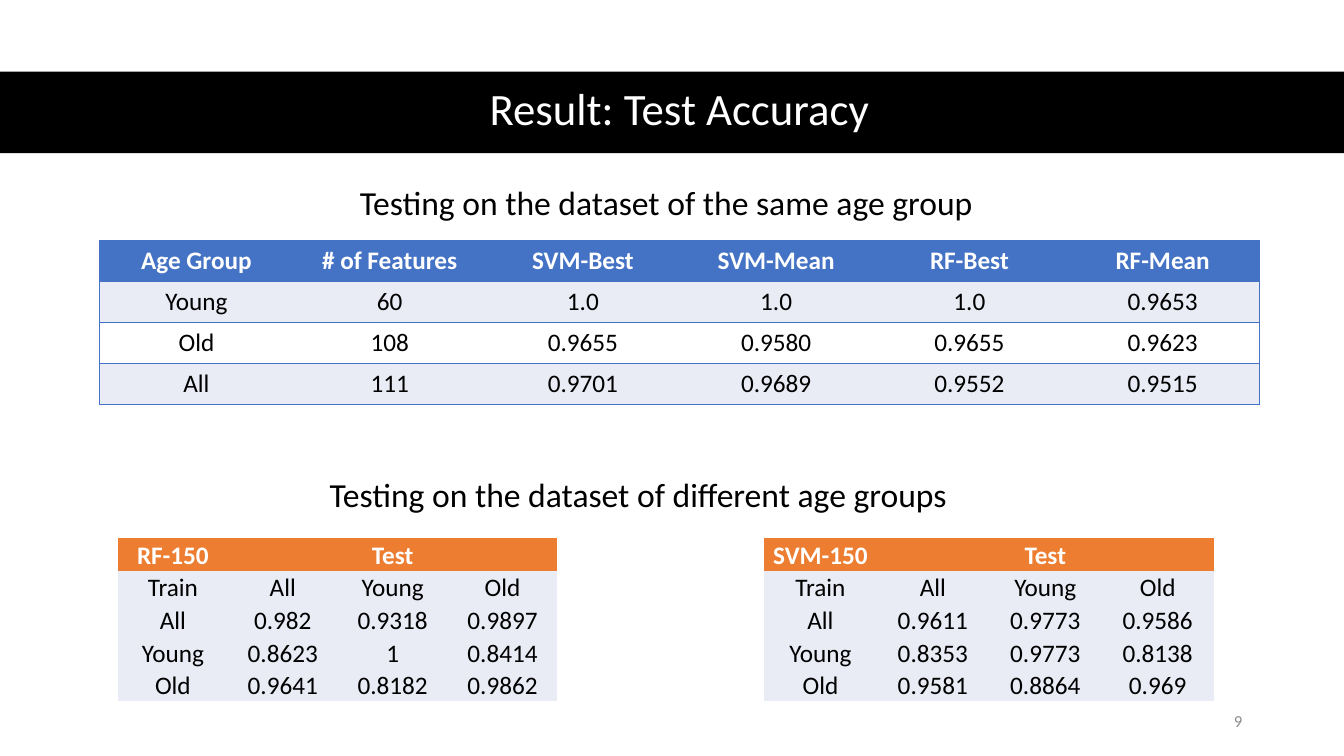
from pptx import Presentation
from pptx.dml.color import RGBColor
from pptx.enum.shapes import MSO_SHAPE
from pptx.enum.text import MSO_ANCHOR as Anchor, PP_ALIGN as Align
from pptx.oxml import parse_xml
from pptx.oxml.ns import nsdecls
from pptx.util import Inches, Pt

BLACK, WHITE, GRAY = "000000", "FFFFFF", "8C8C8C"
BLUE, ORANGE, PALE = "4472C4", "ED7D31", "E9EBF5"
NO_STYLE = "{2D5ABB26-0587-4C30-8999-92F81FD0307C}"


def color(value):
    return RGBColor.from_string(value)


class SlideBuilder:
    """Draws styled bands, text and tables on one slide."""

    def __init__(self, slide, font="Calibri"):
        self.slide = slide
        self.font = font

    def style(self, paragraph, size, text_color, align, bold=False):
        paragraph.alignment = align
        font = paragraph.font
        font.name, font.size, font.bold = self.font, Pt(size), bold
        font.color.rgb = color(text_color)

    def band(self, left, top, width, height, fill):
        shape = self.slide.shapes.add_shape(
            MSO_SHAPE.RECTANGLE, *map(Inches, (left, top, width, height)))
        shape.shadow.inherit = False
        shape.fill.solid()
        shape.fill.fore_color.rgb = color(fill)
        shape.line.fill.background()

    def text(self, box, words, size, text_color=BLACK, align=Align.LEFT,
             anchor=Anchor.TOP, spacing=1.0):
        frame = self.slide.shapes.add_textbox(*map(Inches, box)).text_frame
        frame.word_wrap = True
        frame.vertical_anchor = anchor
        paragraph = frame.paragraphs[0]
        paragraph.text = words
        paragraph.line_spacing = spacing
        self.style(paragraph, size, text_color, align)

    def border(self, cell, sides, line_color):
        for side in sides:
            cell._tc.get_or_add_tcPr().append(parse_xml(
                f'<a:ln{side} {nsdecls("a")} w="12700"><a:solidFill>'
                f'<a:srgbClr val="{line_color}"/></a:solidFill></a:ln{side}>'))

    def table(self, left, top, width, height, rows, fills, outlined=False):
        count = len(rows[0])
        shape = self.slide.shapes.add_table(
            len(rows), count, *map(Inches, (left, top, width, height)))
        shape.element.xpath(".//a:tableStyleId")[0].text = NO_STYLE
        table = shape.table
        for column in table.columns:
            column.width = Inches(width / count)
        for row_index, (values, fill) in enumerate(zip(rows, fills)):
            table.rows[row_index].height = Inches(height / len(rows))
            header = row_index == 0
            for column_index, value in enumerate(values):
                cell = table.cell(row_index, column_index)
                if outlined:
                    sides = ["L"] * (column_index == 0)
                    sides += ["R"] * (column_index == count - 1)
                    self.border(cell, sides + ["T", "B"], BLUE)
                else:
                    cell.margin_left = cell.margin_right = Inches(0.01)
                    cell.margin_top, cell.margin_bottom = Inches(0.01), 0
                    cell.vertical_anchor = Anchor.BOTTOM
                cell.fill.solid()
                cell.fill.fore_color.rgb = color(fill)
                paragraph = cell.text_frame.paragraphs[0]
                if value:
                    paragraph.text = value
                self.style(paragraph, 18, WHITE if header else BLACK,
                           Align.CENTER, header)


def main():
    presentation = Presentation()
    presentation.slide_width = Inches(13.33)
    presentation.slide_height = Inches(7.5)
    builder = SlideBuilder(
        presentation.slides.add_slide(presentation.slide_layouts[6]))

    builder.band(0, 0.71, 13.33, 0.81, BLACK)
    builder.text((0.61, 0.7, 12.26, 0.81), "Result: Test Accuracy", 32,
                 WHITE, Align.CENTER, Anchor.MIDDLE, 0.9)
    builder.text((9.42, 6.95, 3, 0.4), "9", 12, GRAY, Align.RIGHT,
                 Anchor.MIDDLE)

    same_group = [
        ["Age Group", "# of Features", "SVM-Best", "SVM-Mean", "RF-Best",
         "RF-Mean"],
        ["Young", "60", "1.0", "1.0", "1.0", "0.9653"],
        ["Old", "108", "0.9655", "0.9580", "0.9655", "0.9623"],
        ["All", "111", "0.9701", "0.9689", "0.9552", "0.9515"],
    ]
    builder.table(0.99, 2.39, 11.5, 1.62, same_group,
                  [BLUE, PALE, WHITE, PALE], outlined=True)

    cross_group = [
        ("RF-150", 1.17, 4.36, [["0.982", "0.9318", "0.9897"],
                                ["0.8623", "1", "0.8414"],
                                ["0.9641", "0.8182", "0.9862"]]),
        ("SVM-150", 7.58, 4.46, [["0.9611", "0.9773", "0.9586"],
                                 ["0.8353", "0.9773", "0.8138"],
                                 ["0.9581", "0.8864", "0.969"]]),
    ]
    groups = ["All", "Young", "Old"]
    for model, left, width, scores in cross_group:
        rows = [[model, "", "Test", ""], ["Train", *groups]]
        rows += [[group, *values] for group, values in zip(groups, scores)]
        builder.table(left, 5.34, width, 1.62, rows, [ORANGE] + [PALE] * 4)

    builder.text((3.47, 1.76, 6.53, 0.5),
                 "Testing on the dataset of the same age group", 24)
    builder.text((3.17, 4.65, 6.77, 0.5),
                 "Testing on the dataset of different age groups", 24)
    presentation.save("out.pptx")


if __name__ == "__main__":
    main()
